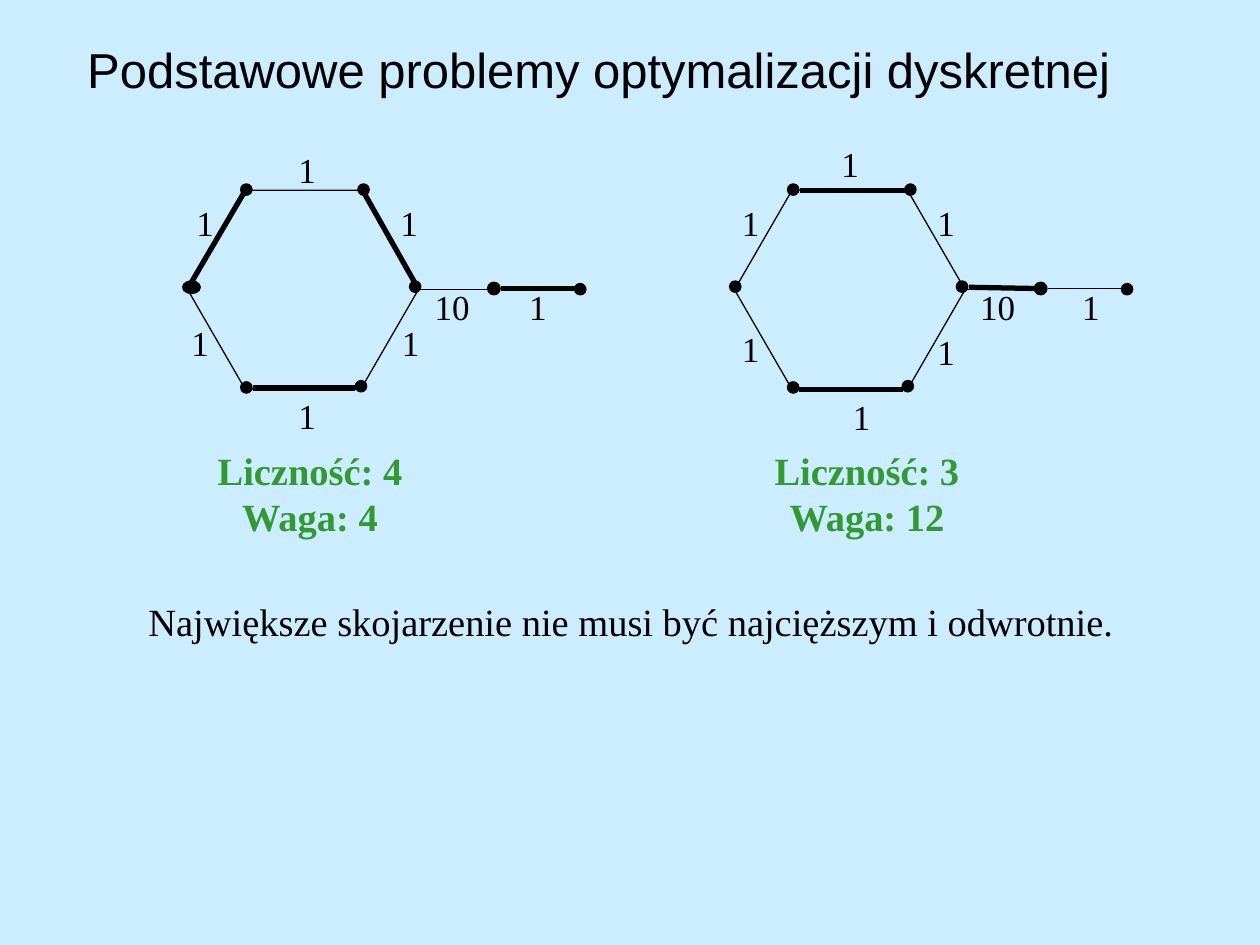
from lxml import etree
from pptx import Presentation
from pptx.dml.color import RGBColor
from pptx.enum.shapes import MSO_CONNECTOR, MSO_SHAPE
from pptx.enum.text import MSO_ANCHOR, PP_ALIGN
from pptx.oxml.ns import qn
from pptx.util import Emu, Pt

PX = 9144  # 100 px to the inch
LEFT, CENTER = PP_ALIGN.LEFT, PP_ALIGN.CENTER
TOP, MIDDLE = MSO_ANCHOR.TOP, MSO_ANCHOR.MIDDLE
STRAIGHT = MSO_CONNECTOR.STRAIGHT
HEXAGON, OVAL = MSO_SHAPE.HEXAGON, MSO_SHAPE.OVAL
SKY, BLACK, GREEN = "CCECFF", "000000", "339933"
SERIF, SANS = "Times New Roman", "Arial"
THIN, THICK = 0.75, 3

# left, top, width, height, relative to the hexagon's box
VERTICES = [(42, -5, 9, 9), (135, -5, 9, 9), (42, 152, 9, 9), (133, 151, 9, 9),
            (176, 72, 9, 9), (238, 73, 10, 10), (307, 74, 9, 9)]


def px(*lengths):
    return [Emu(length * PX) for length in lengths]


def color(hex_code):
    return RGBColor.from_string(hex_code)


def add_text(shapes, box, text, size, hex_code=BLACK, font=SERIF, bold=False,
             align=LEFT, anchor=TOP):
    frame = shapes.add_textbox(*px(*box)).text_frame
    frame.word_wrap = True
    frame.vertical_anchor = anchor
    frame.text = text
    for para in frame.paragraphs:
        para.alignment = align
        for span in para.runs:
            span.font.size = Pt(size)
            span.font.name = font
            span.font.bold = bold
            span.font.color.rgb = color(hex_code)


def add_outlined(shapes, kind, box, filled):
    shape = shapes.add_shape(kind, *px(*box))
    shape.shadow.inherit = False
    if filled:
        shape.fill.solid()
        shape.fill.fore_color.rgb = color(BLACK)
    else:
        shape.fill.background()
    shape.line.color.rgb = color(BLACK)
    shape.line.width = Pt(THIN)
    return shape


def add_edge(shapes, origin, ends, width):
    left, top = origin
    x1, y1, x2, y2 = ends
    edge = shapes.add_connector(
        STRAIGHT, *px(left + x1, top + y1, left + x2, top + y2))
    edge.line.color.rgb = color(BLACK)
    edge.line.width = Pt(width)
    etree.SubElement(edge._element.spPr, qn("a:effectLst"))


def add_graph(page, origin, left_vertex, tail_edge, matching, weights, summary):
    """Draw a hexagonal graph with a two-edge tail, its matching and weights."""
    left, top = origin
    shapes = page.shapes.add_group_shape().shapes

    hexagon = add_outlined(shapes, HEXAGON, (left, top, 183, 158), False)
    hexagon.adjustments[0] = 0.289
    hexagon.adjustments[1] = 1.155
    for ends in [(183, 79, 240, 79), tail_edge]:
        add_edge(shapes, origin, ends, THIN)
    for x, y, width, height in VERTICES + [left_vertex]:
        add_outlined(shapes, OVAL, (left + x, top + y, width, height), True)
    for ends in matching:
        add_edge(shapes, origin, ends, THICK)

    for weight, x, y in weights:
        add_text(shapes, (left + x, top + y, 51, 49), weight, 20)
    x, text = summary
    add_text(shapes, (left + x, top + 199, 192, 84), text, 22, GREEN,
             bold=True, align=CENTER)


def main():
    deck = Presentation()
    deck.slide_width, deck.slide_height = px(1000, 750)
    page = deck.slides.add_slide(deck.slide_layouts[6])
    page.background.fill.solid()
    page.background.fill.fore_color.rgb = color(SKY)

    add_text(page.shapes, (-25, -8, 1000, 125),
             "Podstawowe problemy optymalizacji dyskretnej", 28, font=SANS,
             align=CENTER, anchor=MIDDLE)
    add_graph(
        page, (149, 151), left_vertex=(-4, 72, 14, 10),
        tail_edge=(250, 79, 307, 79),
        matching=[(141, 4, 180, 73), (44, 3, 3, 73),
                  (52, 157, 133, 157), (249, 78, 308, 78)],
        weights=[("1", 78, -38), ("1", -3, 4), ("1", 159, 4), ("1", -7, 99),
                 ("1", 160, 99), ("1", 78, 157), ("10", 186, 71), ("1", 261, 71)],
        summary=(1, "Liczność: 4\nWaga: 4"))
    add_graph(
        page, (583, 151), left_vertex=(-4, 72, 9, 9),
        tail_edge=(249, 78, 308, 78),
        matching=[(52, 0, 136, 0), (186, 77, 239, 78), (51, 158, 134, 158)],
        weights=[("1", 75, -43), ("1", -4, 4), ("1", 151, 4), ("1", -4, 104),
                 ("1", 151, 106), ("1", 84, 158), ("10", 185, 71), ("1", 266, 71)],
        summary=(9, "Liczność: 3\nWaga: 12"))
    add_text(page.shapes, (108, 470, 825, 47),
             "Największe skojarzenie nie musi być najcięższym i odwrotnie.", 22)

    deck.save("out.pptx")


if __name__ == "__main__":
    main()
